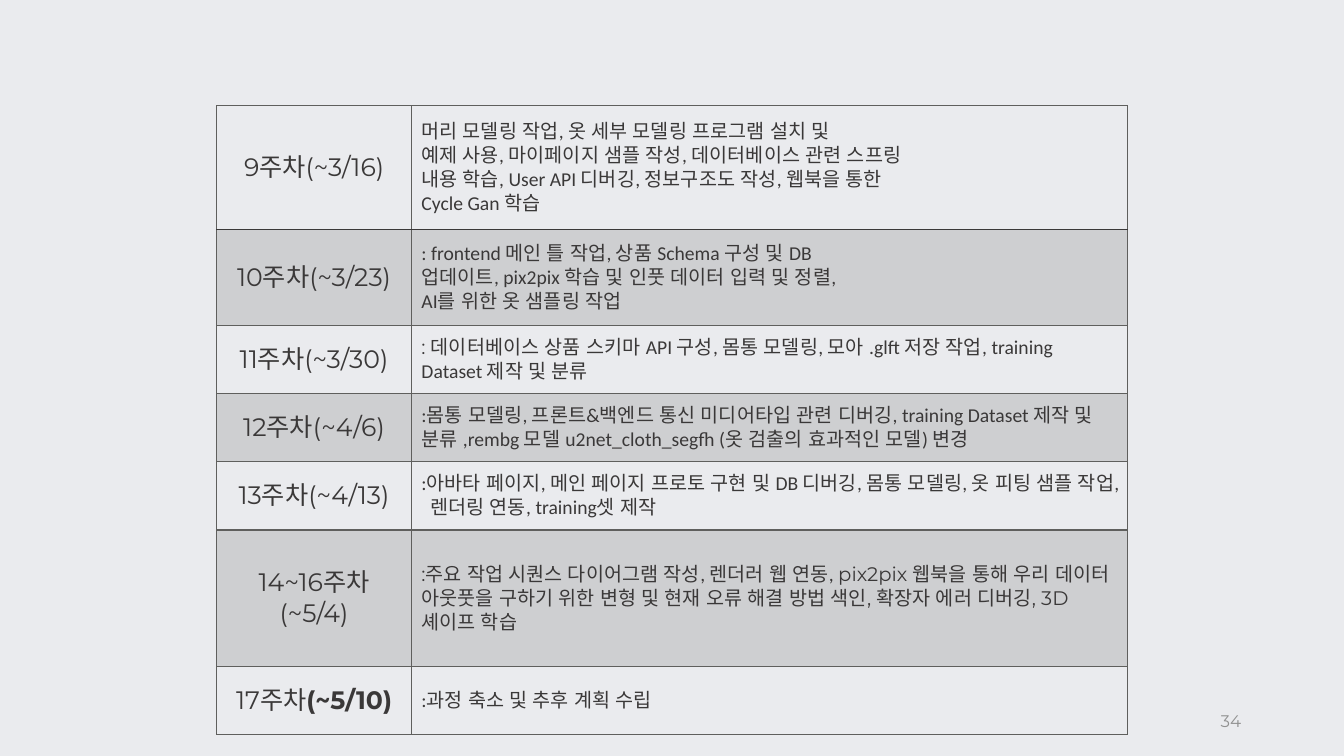
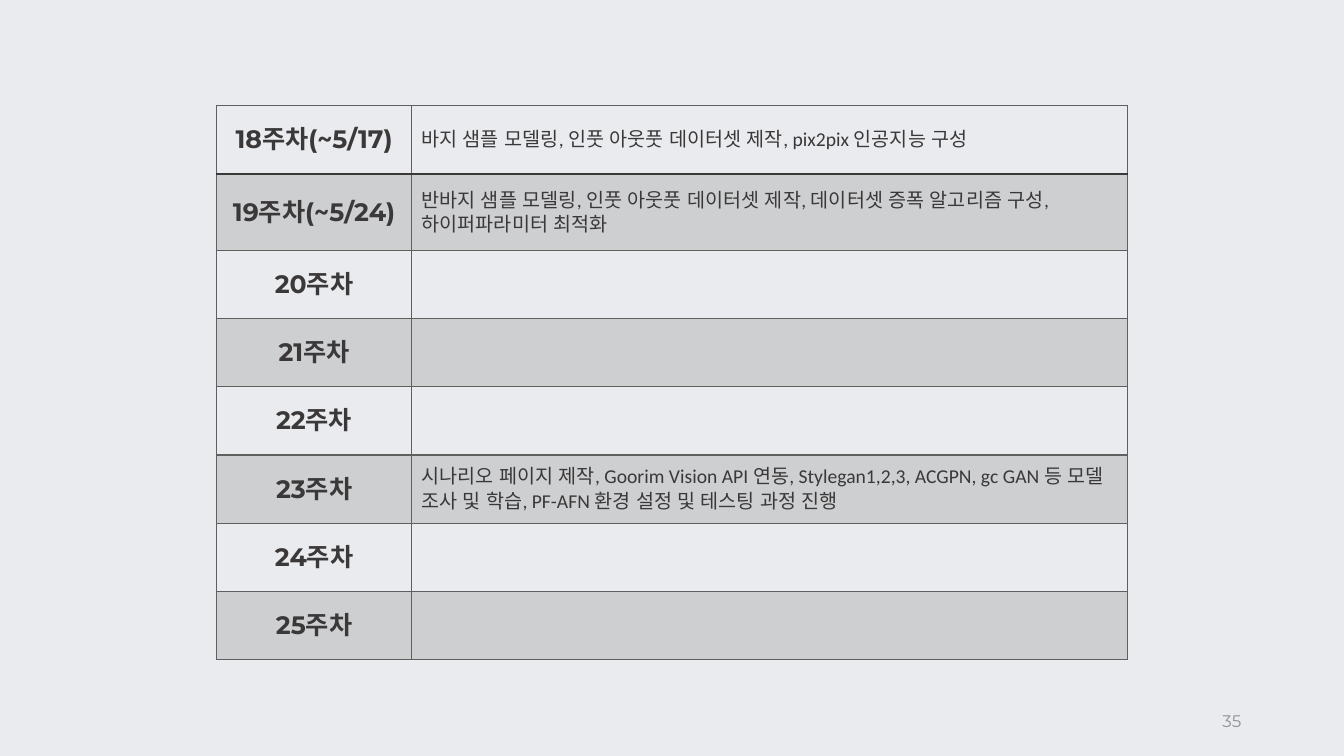
from dataclasses import dataclass
from lxml.etree import SubElement
from pptx import Presentation
from pptx.dml.color import RGBColor
from pptx.enum.text import MSO_ANCHOR, PP_ALIGN
from pptx.oxml import parse_xml
from pptx.oxml.ns import nsdecls, qn
from pptx.util import Inches, Pt


@dataclass(frozen=True)
class Theme:
    """Colours, fonts and type sizes of the deck."""
    back: str = "EAEBEE"
    ink: str = "3A3838"
    rule: str = "5F5F5D"
    pale: str = "919191"
    head: str = "Montserrat"
    body: str = "Calibri"
    week: int = 18
    note: int = 14
    page: int = 12
    tint: int = 20


THEME = Theme()
UNIT = Inches(5.41) // 8

SPRING = [
    ("9주차(~3/16)", "머리 모델링 작업, 옷 세부 모델링 프로그램 설치 및\n"
     "예제 사용, 마이페이지 샘플 작성, 데이터베이스 관련 스프링\n"
     "내용 학습, User API 디버깅, 정보구조도 작성, 웹북을 통한\n"
     "Cycle Gan 학습"),
    ("10주차(~3/23)", ": frontend 메인 틀 작업, 상품 Schema 구성 및 DB\n"
     "업데이트, pix2pix 학습 및 인풋 데이터 입력 및 정렬,\n"
     "AI를 위한 옷 샘플링 작업"),
    ("11주차(~3/30)", [
        (": ", THEME.head, False),
        ("데이터베이스 상품 스키마 API 구성, 몸통 모델링, 모아 .glft 저장 작업, "
         "training Dataset 제작 및 분류", THEME.body, False)]),
    ("12주차(~4/6)", ":몸통 모델링, 프론트&백엔드 통신 미디어타입 관련 디버깅, "
     "training Dataset 제작 및 분류 ,rembg 모델 u2net_cloth_segfh "
     "(옷 검출의 효과적인 모델) 변경"),
    ("13주차(~4/13)", ":아바타 페이지, 메인 페이지 프로토 구현 및 DB 디버깅, "
     "몸통 모델링, 옷 피팅 샘플 작업,  렌더링 연동, training셋 제작"),
    ("14~16주차(~5/4)", [
        (":", THEME.head, False),
        ("주요 작업 시퀀스 다이어그램 작성, 렌더러 웹 연동, ", THEME.body, False),
        ("pix2pix 웹북을 통해 우리 데이터 아웃풋을 구하기 위한 변형 및 "
         "현재 오류 해결 방법 색인, 확장자 에러 디버깅, 3D 셰이프 학습",
         THEME.head, False)]),
    ([("17주차", THEME.head, False), ("(~5/10)", THEME.head, True)],
     ":과정 축소 및 추후 계획 수립"),
]

SUMMER = [
    ("18주차(~5/17)", "바지 샘플 모델링, 인풋 아웃풋 데이터셋 제작, pix2pix 인공지능 구성"),
    ("19주차(~5/24)", "반바지 샘플 모델링, 인풋 아웃풋 데이터셋 제작, "
     "데이터셋 증폭 알고리즘 구성, 하이퍼파라미터 최적화"),
    ("20주차", ""),
    ("21주차", ""),
    ("22주차", ""),
    ("23주차", "시나리오 페이지 제작, Goorim Vision API 연동, Stylegan1,2,3, "
     "ACGPN, gc GAN 등 모델 조사 및 학습, PF-AFN 환경 설정 및 테스팅 과정 진행"),
    ("24주차", ""),
    ("25주차", ""),
]


def style(run, size, font, color, bold=False):
    """Set the look of one run, with one East Asian font throughout."""
    run.font.size = Pt(size)
    run.font.name = font
    run.font.bold = bold
    run.font.color.rgb = RGBColor.from_string(color)
    SubElement(run._r.get_or_add_rPr(), qn("a:ea")).set("typeface", THEME.head)


def write(frame, text, size, font, color, bold=False, align=PP_ALIGN.LEFT):
    """Write a string, or a list of (text, font, bold) runs, into a frame."""
    if isinstance(text, str):
        frame.text = text
        for para in frame.paragraphs:
            for run in para.runs:
                style(run, size, font, color, bold)
    else:
        for part, face, heavy in text:
            run = frame.paragraphs[0].add_run()
            run.text = part
            style(run, size, face, color, heavy)
    for para in frame.paragraphs:
        para.alignment = align


def edge(cell, colors):
    """Draw the left, right, top and bottom borders of a cell."""
    props = cell._tc.get_or_add_tcPr()
    for spot, (side, color) in enumerate(zip("LRTB", colors)):
        props.insert(spot, parse_xml(
            f'<a:ln{side} {nsdecls("a")} w="{Pt(1)}"><a:solidFill>'
            f'<a:srgbClr val="{color}"/></a:solidFill></a:ln{side}>'))


def shade(cell, dark):
    """Tint a dark row's cell and leave the others clear."""
    if not dark:
        cell.fill.background()
        return
    cell.fill.solid()
    cell.fill.fore_color.rgb = RGBColor.from_string(THEME.rule)
    tone = cell._tc.tcPr.find(qn("a:solidFill")).find(qn("a:srgbClr"))
    SubElement(tone, qn("a:alpha")).set("val", str(THEME.tint * 1000))


def add_plan(slide, rows, tall, bold=False):
    """Add the table of weeks; tall maps row numbers to greater heights."""
    highs = [tall.get(num, UNIT) for num in range(len(rows))]
    table = slide.shapes.add_table(
        len(rows), 2, Inches(2.15), Inches(1.05), Inches(9.03),
        sum(highs)).table
    table.first_row = table.horz_banding = False
    table.columns[0].width = Inches(1.93)
    table.columns[1].width = Inches(7.1)
    for num, (week, note) in enumerate(rows):
        table.rows[num].height = highs[num]
        top = THEME.ink if num == 1 else THEME.rule
        base = THEME.ink if num == 0 else THEME.rule
        left, right = table.cell(num, 0), table.cell(num, 1)
        for cell in (left, right):
            cell.vertical_anchor = MSO_ANCHOR.MIDDLE
            shade(cell, num % 2)
            edge(cell, (THEME.rule, THEME.rule, top, base))
        write(left.text_frame, week, THEME.week, THEME.head, THEME.ink,
              bold, PP_ALIGN.CENTER)
        write(right.text_frame, note, THEME.note, THEME.body, THEME.ink)


def add_page(slide, num):
    """Add the page number at the lower right."""
    box = slide.shapes.add_textbox(
        Inches(9.41), Inches(6.95), Inches(3), Inches(0.4))
    frame = box.text_frame
    frame.word_wrap = True
    frame.vertical_anchor = MSO_ANCHOR.MIDDLE
    write(frame, str(num), THEME.page, THEME.head, THEME.pale,
          align=PP_ALIGN.RIGHT)


def add_slide(deck, num):
    """Add a blank slide with the shared ground and page number."""
    slide = deck.slides.add_slide(deck.slide_layouts[6])
    fill = slide.background.fill
    fill.solid()
    fill.fore_color.rgb = RGBColor.from_string(THEME.back)
    add_page(slide, num)
    return slide


def main():
    """Build and save the deck."""
    deck = Presentation()
    deck.slide_width = Inches(13.33)
    deck.slide_height = Inches(7.5)
    add_plan(add_slide(deck, 34), SPRING,
             {0: Inches(1.23), 1: Inches(0.95), 5: UNIT * 2})
    add_plan(add_slide(deck, 35), SUMMER, {1: Inches(0.76)}, bold=True)
    deck.save("out.pptx")


if __name__ == "__main__":
    main()
